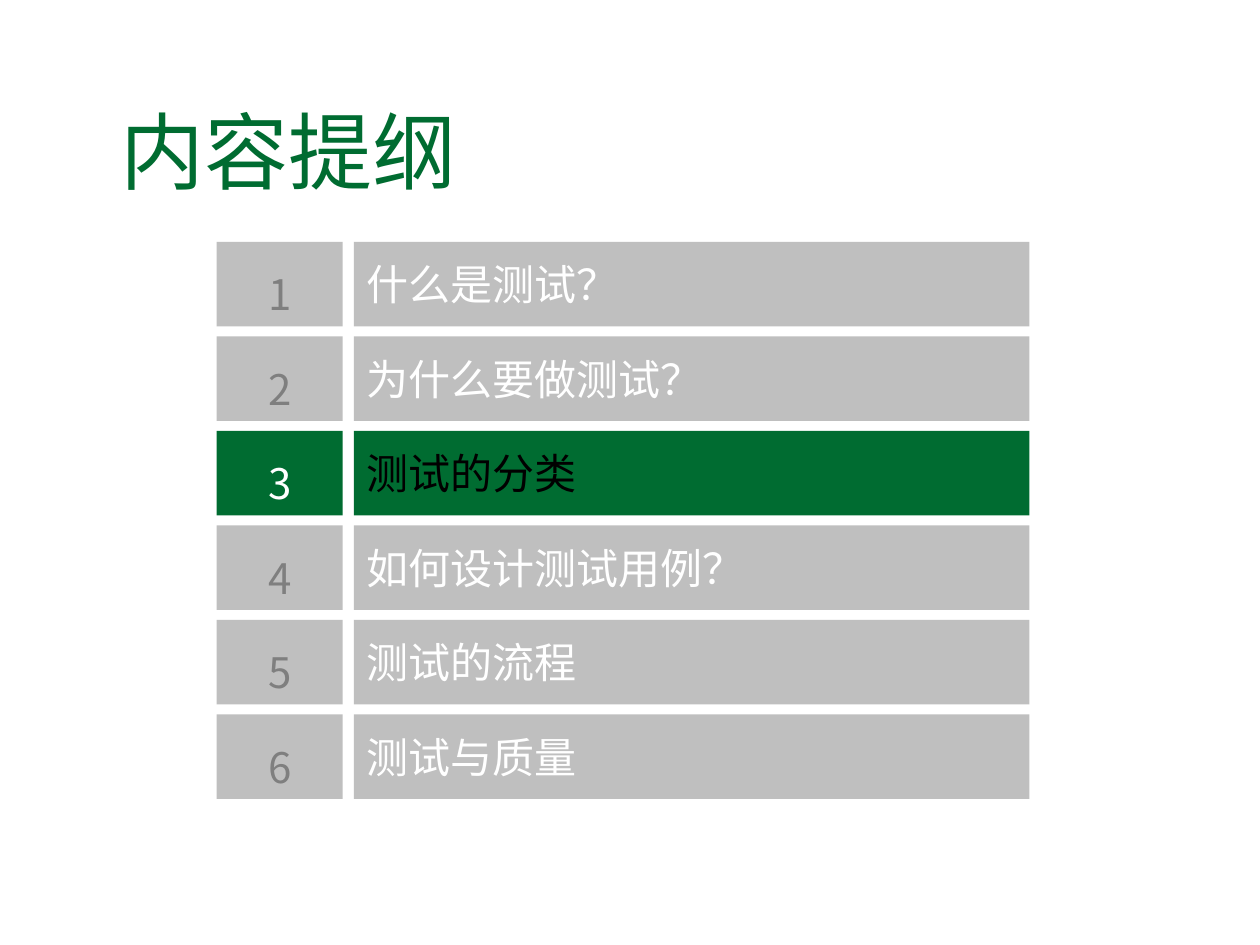
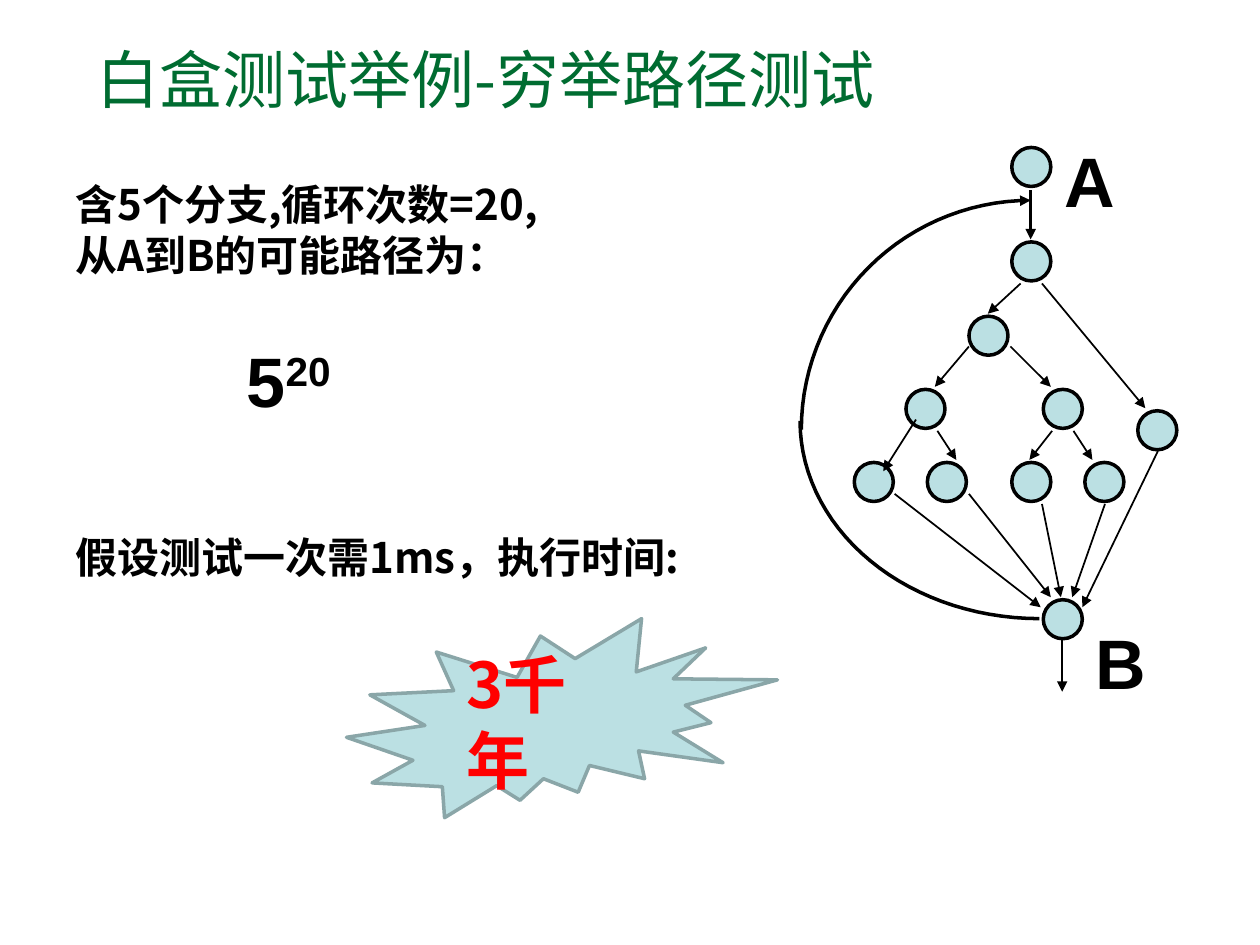
from dataclasses import dataclass
from math import cos, radians, sin

from lxml import etree
from pptx import Presentation
from pptx.dml.color import RGBColor as RGB
from pptx.enum.shapes import MSO_CONNECTOR as CONN, MSO_SHAPE as SHAPE
from pptx.enum.text import MSO_ANCHOR as ANCHOR, PP_ALIGN as ALIGN
from pptx.oxml.ns import qn
from pptx.util import Inches, Pt


@dataclass(frozen=True)
class Theme:
    green: str = "006C31"
    grey: str = "BFBFBF"
    dim: str = "7F7F7F"
    aqua: str = "BBE0E3"
    aqua_edge: str = "8AA6A8"
    red: str = "FF0000"
    black: str = "000000"
    white: str = "FFFFFF"
    cjk: str = "Noto Sans CJK SC"
    latin: str = "Arial"
    serif: str = "Times New Roman"
    body: int = 24
    heading: int = 36
    letter: int = 40
    cover: int = 48
    thick: int = 2
    thin: int = 1


T = Theme()
CHAPTERS = ["什么是测试？", "为什么要做测试？", "测试的分类",
            "如何设计测试用例？", "测试的流程", "测试与质量"]
CURRENT = 3
NODE_SIZE = 0.31
NODES = [(8.03, 1.17), (8.03, 1.92), (7.69, 2.51), (7.19, 3.09), (8.28, 3.09),
         (9.03, 3.26), (6.78, 3.67), (7.36, 3.67), (8.03, 3.67), (8.61, 3.67),
         (8.28, 4.76)]
BRANCHES = [
    (8.1, 2.25, 7.84, 2.49), (8.27, 2.25, 9.09, 3.24),
    (7.69, 2.75, 7.42, 3.07), (8.02, 2.75, 8.34, 3.07),
    (7.27, 3.33, 7.01, 3.74), (7.44, 3.42, 7.59, 3.65),
    (8.35, 3.42, 8.17, 3.65), (8.52, 3.42, 8.67, 3.65),
    (7.1, 3.92, 8.26, 4.82), (7.69, 3.92, 8.34, 4.74),
    (8.27, 4, 8.42, 4.74), (8.77, 4, 8.51, 4.74),
    (9.19, 3.58, 8.59, 4.82), (8.43, 5.08, 8.43, 5.49),
]


def add_run(p, text, size, color, font=T.cjk, bold=False):
    r = p.add_run()
    r.text = text
    r.font.size = Pt(size)
    r.font.bold = bold
    r.font.name = font
    r.font.color.rgb = RGB.from_string(color)
    ea = etree.SubElement(r.font._element, qn("a:ea"))
    ea.set("typeface", T.cjk)
    return r


def set_frame(sp, anchor=ANCHOR.TOP, align=ALIGN.LEFT, spacing=None):
    tf = sp.text_frame
    tf.word_wrap = True
    tf.vertical_anchor = anchor
    p = tf.paragraphs[0]
    p.alignment = align
    p.line_spacing = spacing
    return p


def add_text(slide, box, **layout):
    sp = slide.shapes.add_textbox(*map(Inches, box))
    return set_frame(sp, **layout)


def add_block(slide, kind, box, fill, edge=None):
    sp = slide.shapes.add_shape(kind, *map(Inches, box))
    sp.shadow.inherit = False
    sp.fill.solid()
    sp.fill.fore_color.rgb = RGB.from_string(fill)
    if edge:
        set_line(sp.line, T.thick, edge)
    else:
        sp.line.fill.background()
    return sp


def set_line(line, width, color=T.black):
    line.width = Pt(width)
    line.color.rgb = RGB.from_string(color)


def add_arrowhead(sp):
    ln = sp.line._get_or_add_ln()
    etree.SubElement(ln, qn("a:tailEnd")).set("type", "triangle")


def add_arrow(slide, ends, width=T.thin):
    cx = slide.shapes.add_connector(CONN.STRAIGHT, *map(Inches, ends))
    set_line(cx.line, width)
    add_arrowhead(cx)
    etree.SubElement(cx._element.spPr, qn("a:effectLst"))


def add_arc(slide, center, radii, start, end, arrow=False):
    steps = 30
    angles = [radians(start + (end - start) * i / steps) for i in range(steps + 1)]
    points = [(Inches(center[0] + radii[0] * cos(a)),
               Inches(center[1] + radii[1] * sin(a))) for a in angles]
    fb = slide.shapes.build_freeform(*points[0])
    fb.add_line_segments(points[1:], close=False)
    sp = fb.convert_to_shape()
    sp.shadow.inherit = False
    sp.fill.background()
    set_line(sp.line, T.thick)
    if arrow:
        add_arrowhead(sp)


def add_chapter(slide, number, title):
    active = number == CURRENT
    fill = T.green if active else T.grey
    top = 1.92 + 0.75 * (number - 1)
    cells = [
        (1.72, 1, str(number), T.white if active else T.dim, ALIGN.CENTER, 1.4),
        (2.81, 5.36, title, T.black if active else T.white, ALIGN.LEFT, None),
    ]
    for left, width, text, color, align, spacing in cells:
        sp = add_block(slide, SHAPE.RECTANGLE, (left, top, width, 0.67), fill)
        p = set_frame(sp, ANCHOR.MIDDLE, align, spacing)
        add_run(p, text, T.body, color)


def build_outline(slide):
    p = add_text(slide, (0.75, 0.42, 3.08, 1.06), align=ALIGN.CENTER, spacing=1.4)
    add_run(p, "内容提纲", T.cover, T.green)
    for number, title in enumerate(CHAPTERS, 1):
        add_chapter(slide, number, title)


def add_flow_graph(slide):
    for left, top in NODES:
        add_block(slide, SHAPE.OVAL, (left, top, NODE_SIZE, NODE_SIZE), T.aqua, T.black)
    add_arrow(slide, (8.18, 1.51, 8.18, 1.9), T.thick)
    for ends in BRANCHES:
        add_arrow(slide, ends)
    add_arc(slide, (8.18, 3.41), (1.82, 1.82), 180, 270, arrow=True)
    add_arc(slide, (8.25, 3.34), (1.9, 1.57), 90, 180)
    for letter, left, top in [("A", 8.35, 1.04), ("B", 8.6, 4.87)]:
        p = add_text(slide, (left, top, 0.33, 0.76))
        add_run(p, letter, T.letter, T.black, T.latin, True)


def build_path_example(slide):
    p = add_text(slide, (0.67, 0.25, 7.83, 0.75), anchor=ANCHOR.MIDDLE)
    add_run(p, "白盒测试举例-", T.heading, T.green)
    add_run(p, "穷举路径测试", T.heading, T.green, T.serif)

    pitch = Pt(1.2 * T.body)
    p = add_text(slide, (0.5, 1.37, 6.2, 3.4), spacing=pitch)
    tf = p._parent
    add_run(p, "含5个分支,循环次数=20,", T.body, T.black, bold=True)
    for text, gap in [("从A到B的可能路径为：", 0), ("假设测试一次需1ms，执行时间:", 144)]:
        p = tf.add_paragraph()
        p.line_spacing = pitch
        p.space_before = Pt(gap)
        add_run(p, text, T.body, T.black, bold=True)

    p = add_text(slide, (1.86, 2.63, 1.89, 0.77))
    add_run(p, "5", T.letter, T.black, T.latin, True)
    power = add_run(p, "20", T.letter, T.black, T.latin, True)
    power.font._element.set("baseline", "30000")

    add_flow_graph(slide)
    burst = add_block(slide, SHAPE.EXPLOSION2, (2.75, 4.91, 3.42, 1.58), T.aqua, T.aqua_edge)
    p = set_frame(burst, ANCHOR.MIDDLE, spacing=Pt(1.2 * T.heading))
    add_run(p, "3千年", T.heading, T.red, bold=True)


def main():
    prs = Presentation()
    prs.slide_width, prs.slide_height = Inches(10), Inches(7.5)
    for build in (build_outline, build_path_example):
        build(prs.slides.add_slide(prs.slide_layouts[6]))
    prs.save("out.pptx")


if __name__ == "__main__":
    main()
